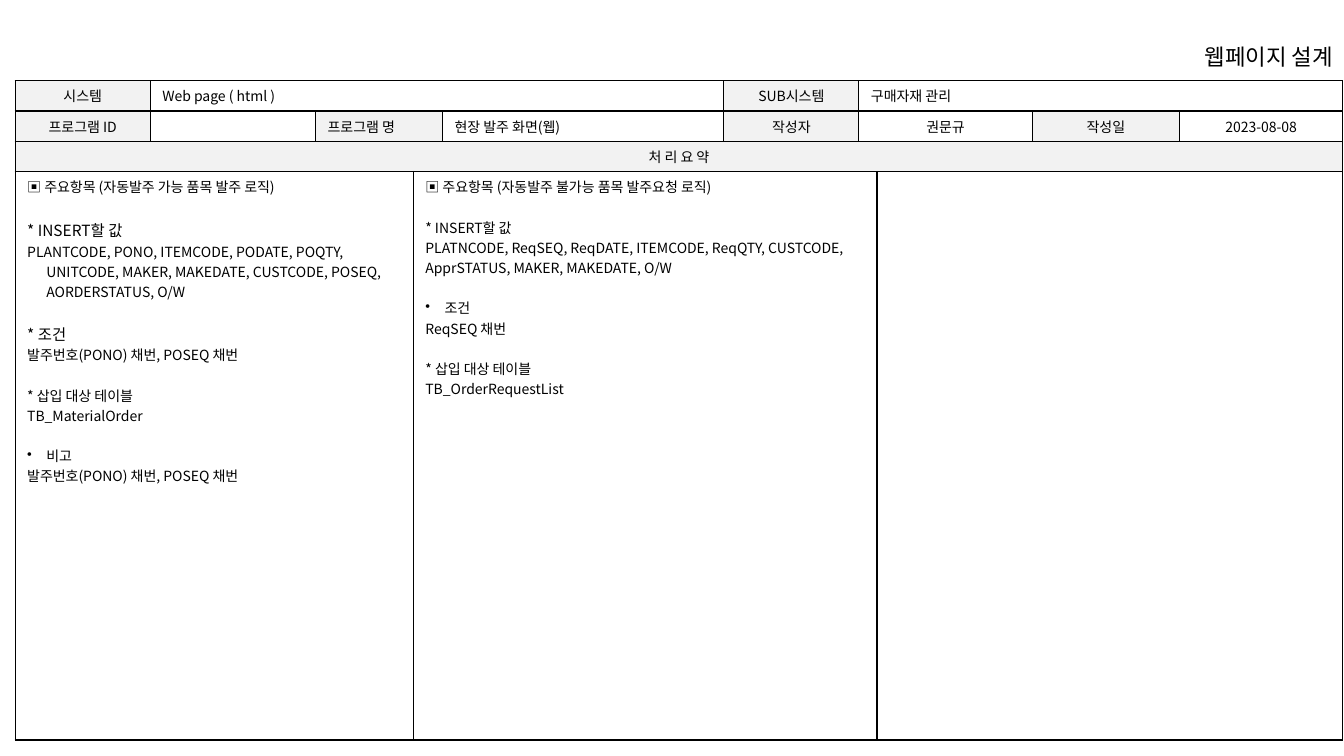
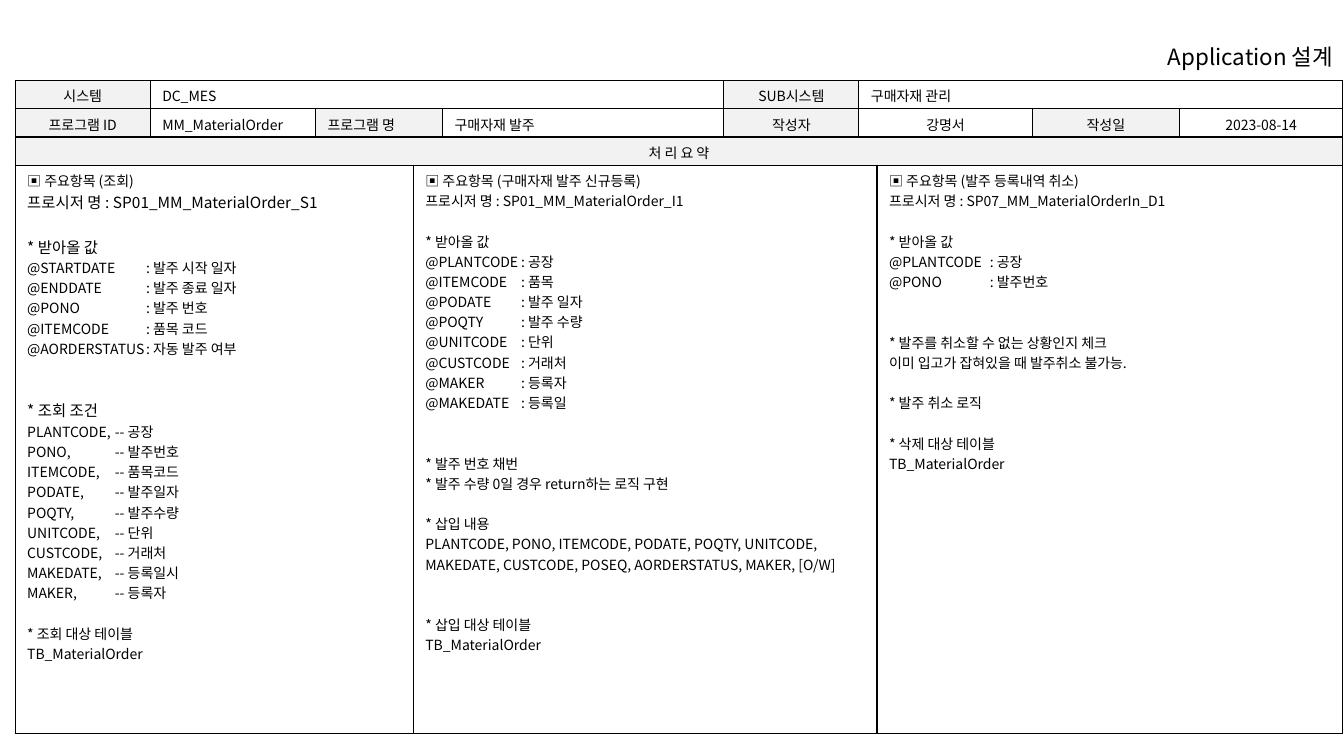
from dataclasses import dataclass
from lxml.etree import SubElement
from pptx import Presentation
from pptx.dml.color import RGBColor as Rgb
from pptx.enum.text import MSO_ANCHOR as Anchor, PP_ALIGN as Align
from pptx.oxml.ns import qn
from pptx.util import Inches, Pt


@dataclass(frozen=True)
class Theme:
    font: str = "Noto Sans CJK KR"
    ink: Rgb = Rgb(0, 0, 0)
    paper: Rgb = Rgb(255, 255, 255)
    shade: Rgb = Rgb(242, 242, 242)
    body: int = 10
    large: int = 11
    title: int = 16
    line: float = 14.5   # points from one body line to the next
    rule: int = 1
    hang: float = 0.19


T = Theme()
WIDE, HIGH = 13.33, 7.5
COLS = 1.34, 1.64, 0.97, 0.29, 2.79, 1.34, 0.18, 1.54, 1.46, 1.62
ROWS = 0.28, 0.28, 0.28, 5.64
LEFT, TOP = 0.15, 0.8
TITLE = 10.35, 0.4, 2.97, 0.33
PADS = {"margin_left": 0.12, "margin_right": 0.12,
        "margin_top": 0.05, "margin_bottom": 0.05}

# Cell kinds: fill and alignment
KINDS = {
    "label": (T.shade, Align.CENTER),
    "name": (T.shade, Align.LEFT),
    "value": (T.paper, Align.LEFT),
    "mid": (T.paper, Align.CENTER),
}

# Header rows: column span, kind, text or key of the page's own value
HEAD = [
    [(1, "label", "시스템"), (4, "value", "{system}"),
     (1, "label", "SUB시스템"), (4, "value", "구매자재 관리")],
    [(1, "label", "프로그램 ID"), (1, "value", "{code}"),
     (2, "name", "프로그램 명"), (1, "value", "{name}"),
     (1, "label", "작성자"), (2, "mid", "{author}"),
     (1, "label", "작성일"), (1, "mid", "{date}")],
    [(10, "label", "처 리 요 약")],
]
SPANS = 3, 4, 3

# In a column a number is a gap in lines, a pair is text with its style,
# and a dict is a list of terms lined up at a tab stop.
PAGES = [
    {
        "title": "웹페이지 설계",
        "system": "Web page ( html )", "code": "", "name": "현장 발주 화면(웹)",
        "author": "권문규", "date": "2023-08-08",
        "columns": [
            ["▣ 주요항목 (자동발주 가능 품목 발주 로직)", 1.1,
             ("* INSERT할 값", "large"),
             ("PLANTCODE, PONO, ITEMCODE, PODATE, POQTY, UNITCODE, MAKER, "
              "MAKEDATE, CUSTCODE, POSEQ, AORDERSTATUS, O/W", "hang"), 1,
             ("* 조건", "large"),
             "발주번호(PONO) 채번, POSEQ 채번", 1,
             "* 삽입 대상 테이블", "TB_MaterialOrder", 1,
             ("비고", "bullet"), "발주번호(PONO) 채번, POSEQ 채번"],
            ["▣ 주요항목 (자동발주 불가능 품목 발주요청 로직)", 1,
             "* INSERT할 값",
             "PLATNCODE, ReqSEQ, ReqDATE, ITEMCODE, ReqQTY, CUSTCODE, "
             "ApprSTATUS, MAKER, MAKEDATE, O/W", 1,
             ("조건", "bullet"), "ReqSEQ 채번", 1,
             "* 삽입 대상 테이블", "TB_OrderRequestList"],
            [],
        ],
    },
    {
        "title": "Application 설계",
        "system": "DC_MES", "code": "MM_MaterialOrder", "name": "구매자재 발주",
        "author": "강명서", "date": "2023-08-14",
        "columns": [
            ["▣ 주요항목 (조회)",
             ("프로시저 명 : SP01_MM_MaterialOrder_S1", "large"), 1.1,
             ("* 받아올 값", "large"),
             {"tab": 1.18, "mark": ":", "terms": [
                 ("@STARTDATE", "발주 시작 일자"), ("@ENDDATE", "발주 종료 일자"),
                 ("@PONO", "발주 번호"), ("@ITEMCODE", "품목 코드"),
                 ("@AORDERSTATUS", "자동 발주 여부")]}, 2,
             ("* 조회 조건", "large"),
             {"tab": 0.87, "mark": "--", "terms": [
                 ("PLANTCODE,", "공장"), ("PONO,", "발주번호"),
                 ("ITEMCODE,", "품목코드"), ("PODATE,", "발주일자"),
                 ("POQTY,", "발주수량"), ("UNITCODE,", "단위"),
                 ("CUSTCODE,", "거래처"), ("MAKEDATE,", "등록일시"),
                 ("MAKER,", "등록자")]}, 1,
             "* 조회 대상 테이블", "TB_MaterialOrder"],
            ["▣ 주요항목 (구매자재 발주 신규등록)",
             "프로시저 명 : SP01_MM_MaterialOrder_I1", 1,
             "* 받아올 값",
             {"tab": 0.95, "mark": ":", "terms": [
                 ("@PLANTCODE", "공장"), ("@ITEMCODE", "품목"),
                 ("@PODATE", "발주 일자"), ("@POQTY", "발주 수량"),
                 ("@UNITCODE", "단위"), ("@CUSTCODE", "거래처"),
                 ("@MAKER", "등록자"), ("@MAKEDATE", "등록일")]}, 2,
             "* 발주 번호 채번", "* 발주 수량 0일 경우 return하는 로직 구현", 1,
             "* 삽입 내용",
             "PLANTCODE, PONO, ITEMCODE, PODATE, POQTY, UNITCODE, MAKEDATE, "
             "CUSTCODE, POSEQ, AORDERSTATUS, MAKER, [O/W]", 2,
             "* 삽입 대상 테이블", "TB_MaterialOrder"],
            ["▣ 주요항목 (발주 등록내역 취소)",
             "프로시저 명 : SP07_MM_MaterialOrderIn_D1", 1,
             "* 받아올 값",
             {"tab": 1, "mark": ":", "terms": [
                 ("@PLANTCODE", "공장"), ("@PONO", "발주번호")]}, 2,
             "* 발주를 취소할 수 없는 상황인지 체크",
             "이미 입고가 잡혀있을 때 발주취소 불가능.", 1,
             "* 발주 취소 로직", 1,
             "* 삭제 대상 테이블", "TB_MaterialOrder"],
        ],
    },
]


def put(obj, **vals):
    for key, val in vals.items():
        setattr(obj, key, val)


def write(para, text, size=T.body, align=Align.LEFT):
    para.alignment = align
    if not text:
        SubElement(para._p, qn("a:endParaRPr"), sz=str(size * 100))
        return
    run = para.add_run()
    run.text = text
    put(run.font, name=T.font, size=Pt(size))
    run.font.color.rgb = T.ink
    SubElement(run._r.get_or_add_rPr(), qn("a:ea"), typeface=T.font)


def indent(para, bullet):
    props = para._p.get_or_add_pPr()
    step = Inches(T.hang)
    props.set("marL", str(step))
    props.set("indent", str(-step))
    if bullet:
        SubElement(props, qn("a:buChar"), char="•")


def stop(para, tab):
    stops = SubElement(para._p.get_or_add_pPr(), qn("a:tabLst"))
    SubElement(stops, qn("a:tab"), pos=str(Inches(tab)), algn="l")


def lines(items):
    """Yield text, style, tab stop and gap before for each paragraph."""
    gap = 0
    for item in items:
        if isinstance(item, (int, float)):
            gap = item
            continue
        if isinstance(item, dict):
            rows = [(f"{key}\t{item['mark']} {val}", "", item["tab"])
                    for key, val in item["terms"]]
        elif isinstance(item, tuple):
            rows = [(*item, None)]
        else:
            rows = [(item, "", None)]
        for row in rows:
            yield *row, gap
            gap = 0


def fill(frame, items):
    for num, (text, style, tab, gap) in enumerate(lines(items)):
        para = frame.add_paragraph() if num else frame.paragraphs[0]
        write(para, text, T.large if style == "large" else T.body)
        if gap:
            para.space_before = Pt(gap * T.line)
        if style in ("hang", "bullet"):
            indent(para, style == "bullet")
        if tab:
            stop(para, tab)


def edge(cell):
    props = cell._tc.get_or_add_tcPr()
    for side in "LRTB":
        line = SubElement(props, qn(f"a:ln{side}"), w=str(Pt(T.rule)))
        paint = SubElement(line, qn("a:solidFill"))
        SubElement(paint, qn("a:srgbClr"), val=str(T.ink))


def style(cell, color):
    edge(cell)
    cell.fill.solid()
    cell.fill.fore_color.rgb = color
    put(cell, **{key: Inches(val) for key, val in PADS.items()})


def grid(slide, page):
    size = map(Inches, (LEFT, TOP, sum(COLS), sum(ROWS)))
    table = slide.shapes.add_table(len(ROWS), len(COLS), *size).table
    put(table, first_row=False, horz_banding=False)
    for parts, sizes, key in ((table.columns, COLS, "width"),
                              (table.rows, ROWS, "height")):
        for part, val in zip(parts, sizes):
            put(part, **{key: Inches(val)})

    body = [(span, "value", items)
            for span, items in zip(SPANS, page["columns"])]
    for y, row in enumerate(HEAD + [body]):
        x = 0
        for span, kind, text in row:
            color, align = KINDS[kind]
            cells = [table.cell(y, x + n) for n in range(span)]
            for cell in cells:
                style(cell, color)
            if span > 1:
                cells[0].merge(cells[-1])
            for cell in cells[1:]:
                write(cell.text_frame.paragraphs[0], "")
            frame = cells[0].text_frame
            if isinstance(text, str):
                write(frame.paragraphs[0], text.format(**page), align=align)
            elif text:
                fill(frame, text)
            else:
                write(frame.paragraphs[0], "")
            x += span


def head(slide, text):
    frame = slide.shapes.add_textbox(*map(Inches, TITLE)).text_frame
    put(frame, word_wrap=True, vertical_anchor=Anchor.MIDDLE)
    write(frame.paragraphs[0], text, T.title, Align.RIGHT)


def main():
    deck = Presentation()
    put(deck, slide_width=Inches(WIDE), slide_height=Inches(HIGH))
    for page in PAGES:
        slide = deck.slides.add_slide(deck.slide_layouts[6])
        grid(slide, page)
        head(slide, page["title"])
    deck.save("out.pptx")


if __name__ == "__main__":
    main()
